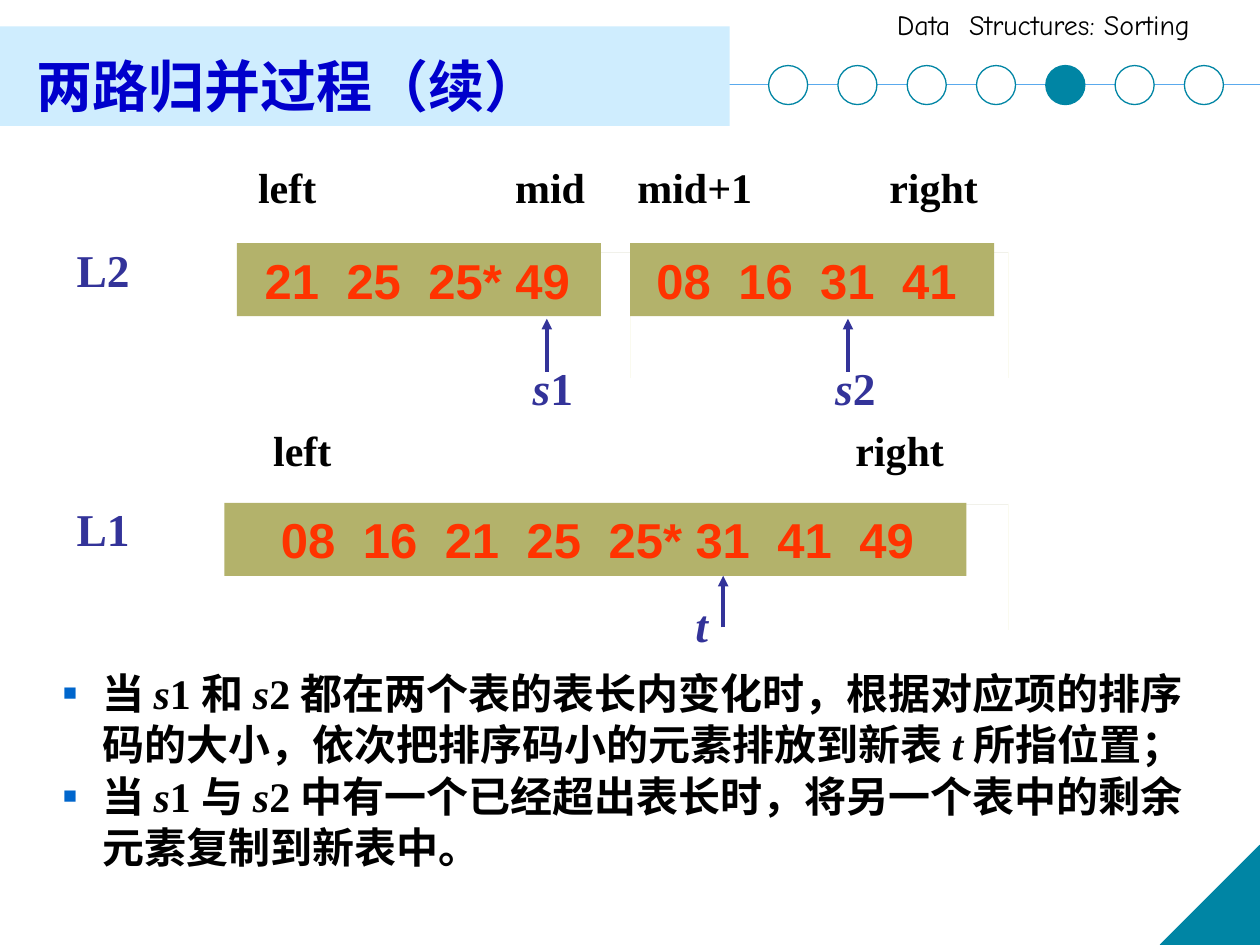
from lxml.etree import SubElement
from pptx import Presentation
from pptx.dml.color import RGBColor
from pptx.enum.shapes import MSO_CONNECTOR, MSO_SHAPE
from pptx.enum.text import MSO_ANCHOR, MSO_AUTO_SIZE, PP_ALIGN
from pptx.oxml.ns import qn
from pptx.util import Inches, Pt

RECT, OVAL = MSO_SHAPE.RECTANGLE, MSO_SHAPE.OVAL
WEDGE = MSO_SHAPE.RIGHT_TRIANGLE
LINE = MSO_CONNECTOR.STRAIGHT
TOP, MIDDLE, BOTTOM = MSO_ANCHOR.TOP, MSO_ANCHOR.MIDDLE, MSO_ANCHOR.BOTTOM
LEFT, FIXED = PP_ALIGN.LEFT, MSO_AUTO_SIZE.NONE

BLACK = RGBColor(0x00, 0x00, 0x00)
WHITE = RGBColor(0xFF, 0xFF, 0xFF)
TEAL = RGBColor(0x00, 0x85, 0xA4)
SKY = RGBColor(0x5A, 0xAA, 0xED)
PALE = RGBColor(0xCF, 0xED, 0xFE)
NAVY = RGBColor(0x33, 0x33, 0x99)
BLUE = RGBColor(0x00, 0x00, 0xCC)
RED = RGBColor(0xFF, 0x33, 0x00)
FRONT = RGBColor(0xB3, 0xB2, 0x6B)
ROOF = RGBColor(0x95, 0x94, 0x5A)
SIDE = RGBColor(0xDE, 0xDE, 0x84)
SERIF, SANS, COMIC = "Times New Roman", "Arial", "Comic Neue"
DEPTH = 0.17
BULLET = (
    ("buClr", {}),
    ("buSzPct", {"val": "55000"}),
    ("buFont", {"typeface": "Arial"}),
    ("buChar", {"char": "■"}),
)


def write(para, text, size=24, color=BLACK, face=SERIF, bold=True):
    for num, part in enumerate(text.split("_")):
        if part:
            run = para.add_run()
            run.text = part
            font = run.font
            font.size, font.name = Pt(size), face
            font.bold, font.italic = bold, num % 2 == 1
            font.color.rgb = color


class Deck:
    """Holds the style and the current slide, and draws each kind of element."""

    def __init__(self):
        self.file = Presentation()
        self.file.slide_width, self.file.slide_height = Inches(10), Inches(7.5)
        self.slide = self.file.slides.add_slide(self.file.slide_layouts[1])
        self.shapes = self.slide.shapes

    def paint(self, shape, fill, edge=None):
        shape.shadow.inherit = False
        shape.fill.solid()
        shape.fill.fore_color.rgb = fill
        if edge is None:
            shape.line.fill.background()
        else:
            shape.line.color.rgb = edge
            shape.line.width = Pt(0.75)
        return shape

    def shape(self, kind, box, fill, edge=None):
        return self.paint(self.shapes.add_shape(kind, *map(Inches, box)), fill, edge)

    def face(self, points, fill):
        pen = self.shapes.build_freeform(*points[0], scale=Inches(1))
        pen.add_line_segments(points[1:])
        self.paint(pen.convert_to_shape(), fill)

    def bar(self, left, top, width, start, words):
        right, base = left + width, top + 0.58
        back, crest = right + DEPTH, top - DEPTH
        self.face([(left, top), (left + DEPTH, crest), (back, crest), (right, top)], ROOF)
        self.face([(right, top), (back, crest), (back, base - DEPTH), (right, base)], SIDE)
        front = self.shape(RECT, (left, top, width, 0.58), FRONT)
        frame = front.text_frame
        frame.word_wrap, frame.vertical_anchor = True, MIDDLE
        frame.margin_left, frame.margin_right = Inches(start - left), 0
        para = frame.paragraphs[0]
        para.alignment = LEFT
        tabs = SubElement(para._p.get_or_add_pPr(), qn("a:tabLst"))
        stop = 0
        for word in words[:-1]:
            stop += 0.69 if word.endswith("*") else 0.65
            SubElement(tabs, qn("a:tab"), pos=str(Inches(stop)), algn="l")
        write(para, "\t".join(words), size=28, color=RED, face=SANS)

    def label(self, text, left, top, width, **style):
        box = self.shapes.add_textbox(*map(Inches, (left, top, width, 0.5)))
        box.text_frame.word_wrap = True
        write(box.text_frame.paragraphs[0], text, **style)

    def line(self, start, end, color, width):
        link = self.shapes.add_connector(LINE, *map(Inches, start + end))
        link.line.color.rgb, link.line.width = color, Pt(width)
        SubElement(link._element.spPr, qn("a:effectLst"))
        return link

    def arrow(self, left, low, high):
        link = self.line((left, low), (left, high), NAVY, 2)
        SubElement(link.line._get_or_add_ln(), qn("a:tailEnd"), type="triangle")

    def place(self, index, box, anchor):
        holder = self.slide.placeholders[index]
        holder.left, holder.top, holder.width, holder.height = map(Inches, box)
        self.shapes._spTree.append(holder._element)
        frame = holder.text_frame
        frame.word_wrap, frame.auto_size = True, FIXED
        frame.vertical_anchor = anchor
        return frame

    def title(self, text, box):
        para = self.place(0, box, BOTTOM).paragraphs[0]
        para.alignment = LEFT
        write(para, text, size=32, color=BLUE)

    def body(self, items, box):
        frame = self.place(1, box, TOP)
        frame.margin_left = frame.margin_right = 0
        for num, item in enumerate(items):
            para = frame.add_paragraph() if num else frame.paragraphs[0]
            props = para._p.get_or_add_pPr()
            props.set("marL", str(Inches(0.81)))
            props.set("indent", str(Inches(-0.31)))
            for tag, attrs in BULLET:
                node = SubElement(props, qn("a:" + tag), attrs)
                if tag == "buClr":
                    SubElement(node, qn("a:srgbClr"), val="0066CC")
            para.space_before = Pt(1.2 if num else 0)
            write(para, item)


def main():
    deck = Deck()
    deck.line((0, 0.67), (10, 0.67), SKY, 1)
    wedge = deck.shape(WEDGE, (9.21, 6.71, 0.79, 0.79), TEAL, TEAL)
    wedge._element.spPr.get_or_add_xfrm().set("flipH", "1")
    deck.label("Data  Structures: Sorting", 7.02, 0.01, 2.94, size=16, face=COMIC, bold=False)
    deck.shape(RECT, (0, 0.21, 5.79, 0.79), PALE)
    for num in range(7):
        fill = TEAL if num == 4 else WHITE
        deck.shape(OVAL, (6.1 + 0.55 * num, 0.52, 0.31, 0.31), fill, TEAL)

    deck.bar(1.88, 1.93, 2.89, 2.1, ["21", "25", "25*", "49"])
    deck.bar(5, 1.93, 2.89, 5.21, ["08", "16", "31", "41"])
    deck.bar(1.78, 3.99, 5.89, 2.23, ["08", "16", "21", "25", "25*", "31", "41", "49"])

    ends = (
        ("left", 1.95, 1.23), ("mid", 3.99, 1.23), ("mid+1", 4.96, 1.23),
        ("right", 6.96, 1.23), ("left", 2.07, 3.32), ("right", 6.69, 3.32),
    )
    for text, left, top in ends:
        deck.label(text, left, top, 1.2)
    marks = (
        ("L2", 0.51, 1.87), ("L1", 0.51, 3.93),
        ("_s_1", 4.13, 2.81), ("_s_2", 6.53, 2.81), ("_t_", 5.42, 4.69),
    )
    for text, left, top in marks:
        deck.label(text, left, top, 0.7, size=26, color=NAVY)
    for left, low, high in ((4.34, 2.95, 2.53), (6.73, 2.95, 2.53), (5.74, 4.98, 4.57)):
        deck.arrow(left, low, high)

    deck.body(
        [
            "当 _s_1 和 _s_2 都在两个表的表长内变化时，根据对应项的排序码的大小，"
            "依次把排序码小的元素排放到新表 _t _所指位置；",
            "当 _s_1 与 _s_2 中有一个已经超出表长时，将另一个表中的剩余元素复制到新表中。",
        ],
        (0, 5.25, 9.61, 1.88),
    )
    deck.title("两路归并过程（续）", (0.19, 0.28, 5.99, 0.71))
    deck.file.save("out.pptx")


if __name__ == "__main__":
    main()
